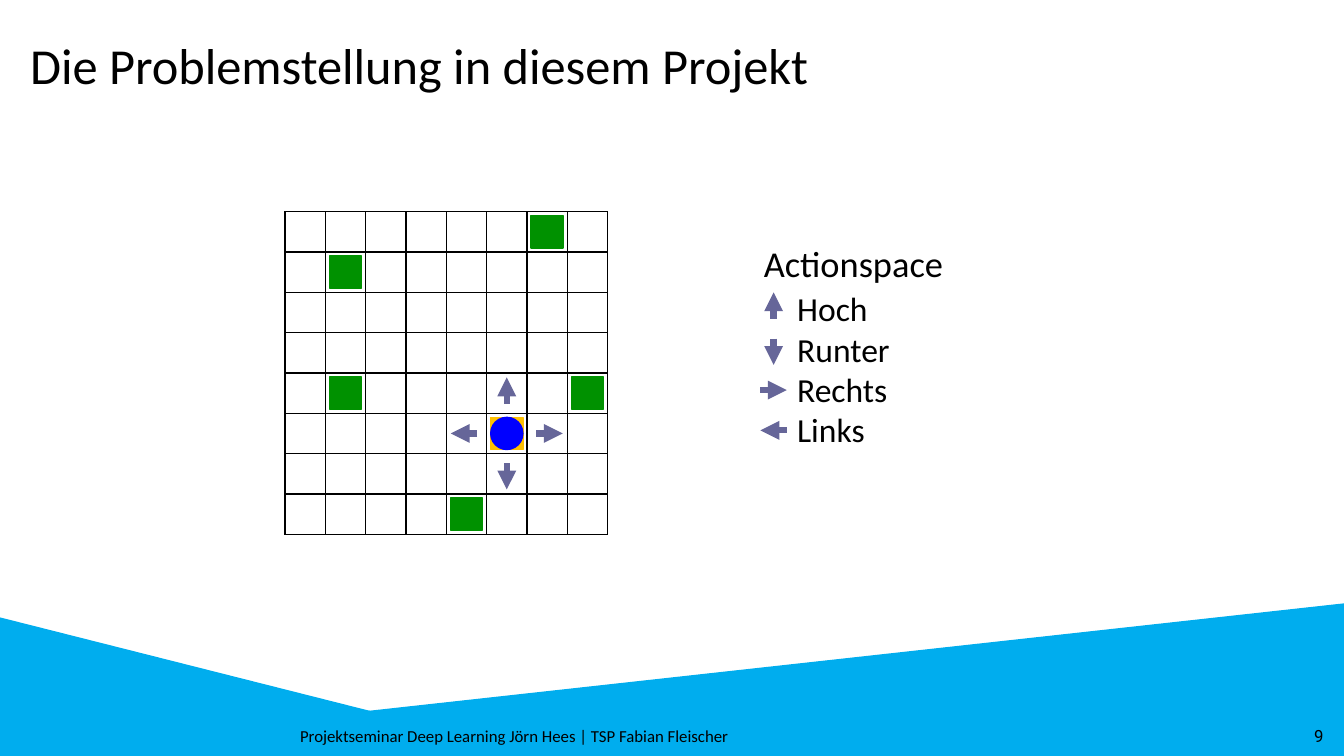
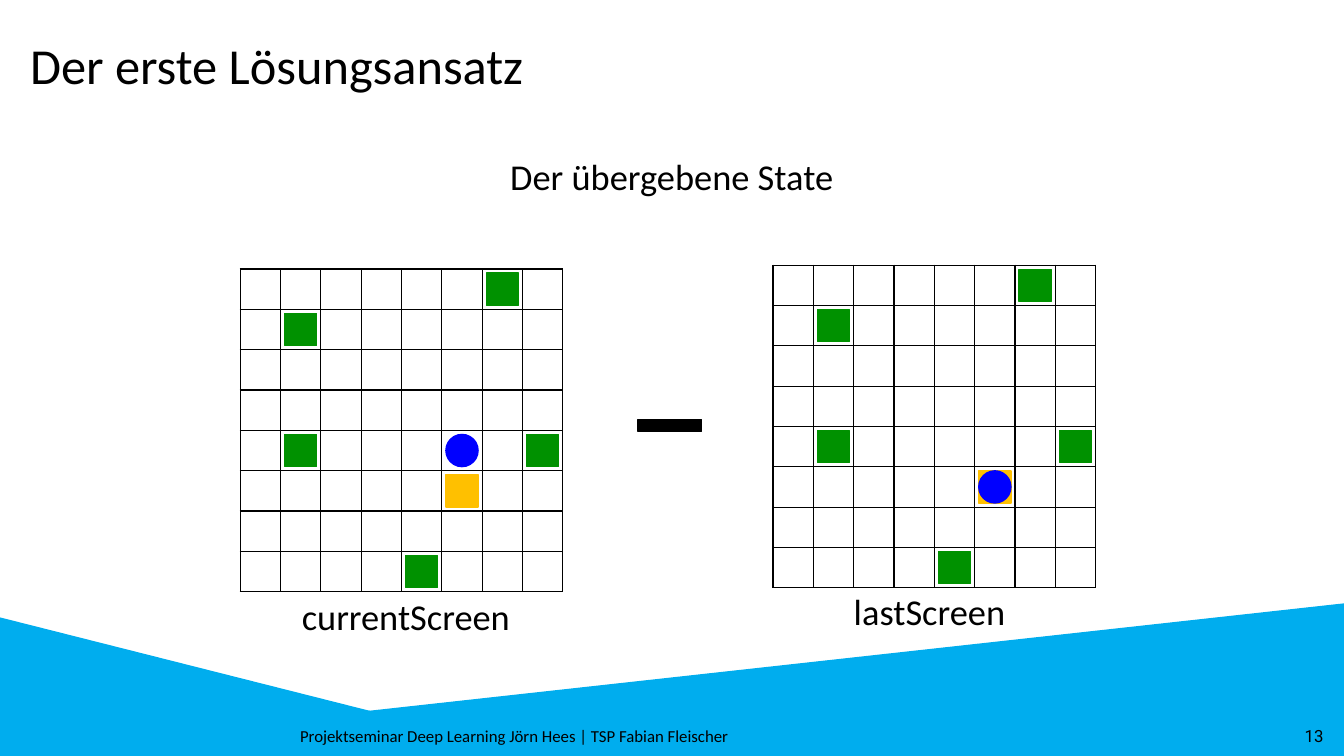
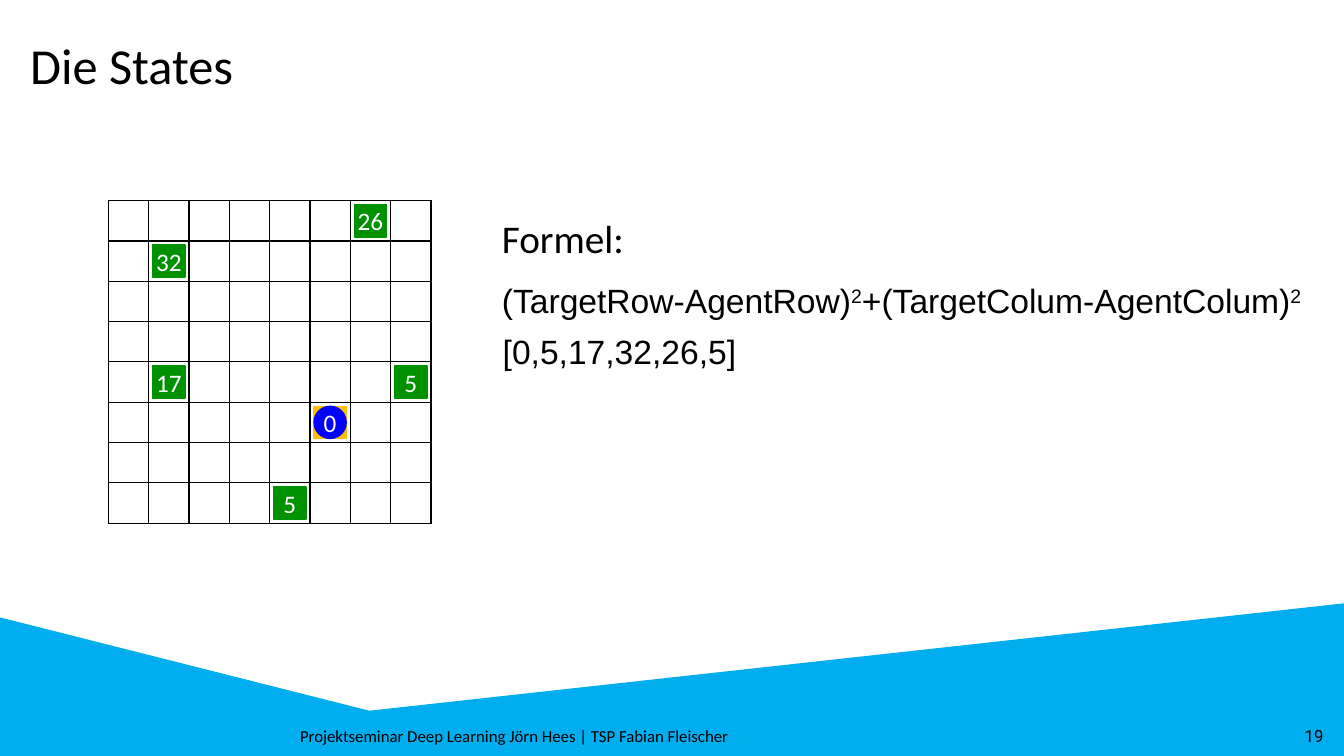
from lxml import etree
from pptx import Presentation
from pptx.dml.color import RGBColor
from pptx.enum.shapes import MSO_CONNECTOR, MSO_SHAPE
from pptx.enum.text import MSO_ANCHOR, PP_ALIGN
from pptx.oxml.ns import qn
from pptx.util import Pt

RECT, TRIANGLE, OVAL = MSO_SHAPE.RECTANGLE, MSO_SHAPE.RIGHT_TRIANGLE, MSO_SHAPE.OVAL
LEFT, CENTER, RIGHT = PP_ALIGN.LEFT, PP_ALIGN.CENTER, PP_ALIGN.RIGHT
TOP, MIDDLE = MSO_ANCHOR.TOP, MSO_ANCHOR.MIDDLE
STRAIGHT = MSO_CONNECTOR.STRAIGHT

BLACK = RGBColor(0x00, 0x00, 0x00)
WHITE = RGBColor(0xFF, 0xFF, 0xFF)
BAND = RGBColor(0x00, 0xAD, 0xEE)
GREEN = RGBColor(0x00, 0x91, 0x00)
AMBER = RGBColor(0xFF, 0xC0, 0x00)
BLUE = RGBColor(0x00, 0x00, 0xFF)
ARROW = RGBColor(0x66, 0x66, 0x99)

FOOTER = "Projektseminar Deep Learning Jörn Hees | TSP Fabian Fleischer"
N, CELL, CHIP = 8, 28.8, 23
INSET = (CELL - CHIP) / 2
START = (5, 5)
TARGETS = [(4, 7), (7, 4), (0, 6), (4, 1), (1, 1)]


def add_shape(s, kind, x, y, w, h, color, label=""):
    sp = s.shapes.add_shape(kind, Pt(x), Pt(y), Pt(w), Pt(h))
    sp.shadow.inherit = False
    sp.fill.solid()
    sp.fill.fore_color.rgb = color
    sp.line.color.rgb = color
    sp.line.width = Pt(1)
    if label:
        tf = sp.text_frame
        tf.margin_left = tf.margin_right = tf.margin_top = tf.margin_bottom = 0
        tf.word_wrap = False
        tf.vertical_anchor = MIDDLE
        tf.text = label
        p = tf.paragraphs[0]
        p.alignment = CENTER
        font = p.runs[0].font
        font.name, font.size, font.color.rgb = "Calibri", Pt(18), WHITE
    return sp


def add_text(s, x, y, w, h, text, size, align=LEFT, anchor=TOP, name="Calibri"):
    """Add a text box; pieces between ^ signs are raised."""
    tf = s.shapes.add_textbox(Pt(x), Pt(y), Pt(w), Pt(h)).text_frame
    tf.word_wrap = True
    tf.vertical_anchor = anchor
    for i, line in enumerate(text.split("\n")):
        p = tf.add_paragraph() if i else tf.paragraphs[0]
        p.alignment = align
        for j, part in enumerate(line.split("^")):
            if not part:
                continue
            r = p.add_run()
            r.text = part
            r.font.name, r.font.size, r.font.color.rgb = name, Pt(size), BLACK
            if j % 2:
                r._r.get_or_add_rPr().set("baseline", "30000")


prs = Presentation()
prs.slide_width, prs.slide_height = Pt(960), Pt(540)

# Band, footer, page number and title of every slide
slides = []
for title, number in [("Die Problemstellung in diesem Projekt", "9"),
                      ("Der erste Lösungsansatz", "13"),
                      ("Die States", "19")]:
    s = prs.slides.add_slide(prs.slide_layouts[6])
    add_shape(s, RECT, 0, 512, 960, 28, BAND)
    add_shape(s, TRIANGLE, 0, 441.5, 277, 70, BAND)
    sp = add_shape(s, TRIANGLE, 234, 431.5, 726, 80, BAND)
    sp._element.spPr.find(qn("a:xfrm")).set("flipH", "1")
    add_text(s, 0, 511, 735, 29, FOOTER, 12, CENTER, MIDDLE)
    add_text(s, 736.5, 511, 216, 29, number, 12, RIGHT, MIDDLE, "Roboto")
    add_text(s, 14.4, 21, 787, 51, title, 36)
    slides.append(s)
problem, approach, states = slides

# Boards: slide, left, top, agent cell, target labels, agent label
boards = [
    (problem, 203.6, 151.2, START, [""] * 5, ""),
    (approach, 552.2, 189.4, START, [""] * 5, ""),
    (approach, 171.6, 192.2, (4, 5), [""] * 5, ""),
    (states, 77.4, 143.3, START, ["5", "5", "26", "17", "32"], "0"),
]
for s, left, top, agent, labels, agent_label in boards:
    size = Pt(N * CELL)
    table = s.shapes.add_table(N, N, Pt(left), Pt(top), size, size).table
    table.first_row = table.horz_banding = False
    for i in range(N):
        table.columns[i].width = table.rows[i].height = Pt(CELL)
    for cell in table.iter_cells():
        cell.margin_left = cell.margin_right = 0
        cell.margin_top = cell.margin_bottom = 0
        tcPr = cell._tc.get_or_add_tcPr()
        for side in ("a:lnL", "a:lnR", "a:lnT", "a:lnB"):
            ln = etree.SubElement(tcPr, qn(side), w="12700")
            fill = etree.SubElement(ln, qn("a:solidFill"))
            etree.SubElement(fill, qn("a:srgbClr"), val=str(BLACK))
        cell.fill.background()

    chips = [(RECT, pos, GREEN, label) for pos, label in zip(TARGETS, labels)]
    chips += [(RECT, START, AMBER, ""), (OVAL, agent, BLUE, agent_label)]
    for kind, (row, col), color, label in chips:
        add_shape(s, kind, left + col * CELL + INSET, top + row * CELL + INSET,
                  CHIP, CHIP, color, label)

# Problem: the four actions as legend and around the agent
add_text(problem, 538.5, 168.5, 180, 39, "Actionspace", 26)
add_text(problem, 562.3, 202.3, 110, 145, "Hoch\nRunter\nRechts\nLinks", 24)
agent_x = 203.6 + (START[1] + 0.5) * CELL
agent_y = 151.2 + (START[0] + 0.5) * CELL
legend_x, near, far = 552.6, 21.2, 40
half = (far - near) / 2
arrows = []
for dx, dy, legend_y in [(0, -1, 218.2), (0, 1, 251.3), (1, 0, 278.6), (-1, 0, 307.4)]:
    arrows.append((agent_x + near * dx, agent_y + near * dy,
                   agent_x + far * dx, agent_y + far * dy))
    arrows.append((legend_x - half * dx, legend_y - half * dy,
                   legend_x + half * dx, legend_y + half * dy))
for ends in arrows:
    line = problem.shapes.add_connector(STRAIGHT, *[Pt(v) for v in ends])
    line.line.color.rgb = ARROW
    line.line.width = Pt(4.5)
    etree.SubElement(line.line._get_or_add_ln(), qn("a:tailEnd"), type="triangle")
    etree.SubElement(line._element.spPr, qn("a:effectLst"))

# Approach: difference of two screens
add_text(approach, 240, 106.6, 480, 39, "Der übergebene State", 26, CENTER)
add_shape(approach, RECT, 455.8, 299.5, 45.4, 8.6, BLACK)
add_text(approach, 597, 417, 134, 39, "lastScreen", 26, CENTER)
add_text(approach, 199.5, 421.2, 181, 39, "currentScreen", 26, CENTER)

# States: formula and result
add_text(states, 351.4, 149.8, 150, 41, "Formel:", 28)
add_text(states, 351.4, 196.6, 605, 36,
         "(TargetRow-AgentRow)^2^+(TargetColum-AgentColum)^2", 24, name="Arial")
add_text(states, 352, 232.6, 250, 36, "[0,5,17,32,26,5]", 24, name="Arial")

prs.save("out.pptx")
